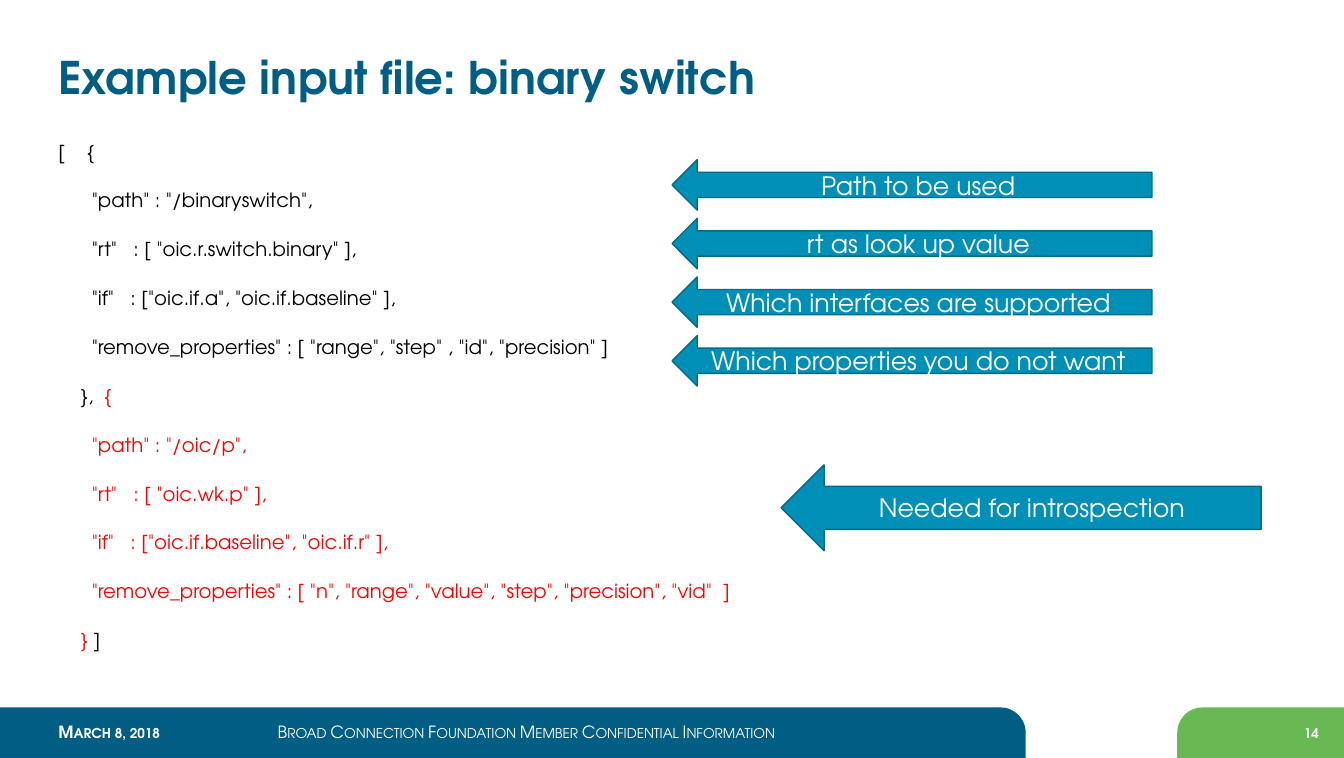
from pptx import Presentation
from pptx.dml.color import RGBColor
from pptx.enum.shapes import MSO_SHAPE
from pptx.enum.text import MSO_ANCHOR, PP_ALIGN
from pptx.oxml.ns import qn
from pptx.util import Inches, Pt

ARROW, TAB = MSO_SHAPE.LEFT_ARROW, MSO_SHAPE.ROUND_1_RECTANGLE
TOP, MID = MSO_ANCHOR.TOP, MSO_ANCHOR.MIDDLE
LEFT, MIDDLE, RIGHT = PP_ALIGN.LEFT, PP_ALIGN.CENTER, PP_ALIGN.RIGHT

FACE = "TeX Gyre Adventor"
COLORS = {"navy": "005D83", "green": "68B953", "blue": "0090B7",
          "edge": "006B87", "white": "FFFFFF", "black": "000000",
          "red": "FF0000"}

TITLE = "Example input file: binary switch"
# Each line: indent level, then (text, colour) runs
CODE = [
    (0, [("[    {", "black")]),
    (2, [('"path" : "/binaryswitch",', "black")]),
    (2, [('"rt"   : [ "oic.r.switch.binary" ],', "black")]),
    (2, [('"if"   : ["oic.if.a", "oic.if.baseline" ],', "black")]),
    (2, [('"remove_properties" : [ "range", "step" , "id", "precision" ]',
          "black")]),
    (1, [("},  ", "black"), ("{", "red")]),
    (2, [('"path" : "/oic/p",', "red")]),
    (2, [('"rt"   : [ "oic.wk.p" ],', "red")]),
    (2, [('"if"   : ["oic.if.baseline", "oic.if.r" ],', "red")]),
    (2, [('"remove_properties" : [ "n", "range", "value", "step", '
          '"precision", "vid"  ]', "red")]),
    (1, [("} ", "red"), ("]", "black")]),
]
INDENTS = [0, 0.22, 0.33]
NOTES = ["Path to be used", "rt as look up value",
         "Which interfaces are supported", "Which properties you do not want"]
NEED = "Needed for introspection"
# Left, width, text, bold, alignment
FOOTER = [
    (0.48, 2.17, "March 8, 2018", True, LEFT),
    (11.98, 1.17, "14", True, RIGHT),
    (2.65, 7.25, "Broad Connection Foundation Member Confidential Information",
     False, LEFT),
]


def color(name):
    return RGBColor.from_string(COLORS[name])


def style(para, size, tint, bold=False, align=LEFT):
    para.alignment = align
    font = para.font
    font.name, font.size, font.bold = FACE, Pt(size), bold
    font.color.rgb = color(tint)


def add_box(slide, box, anchor=MID):
    frame = slide.shapes.add_textbox(*map(Inches, box)).text_frame
    frame.word_wrap = True
    frame.vertical_anchor = anchor
    return frame


def add_form(slide, kind, box, fill, edge=None):
    form = slide.shapes.add_shape(kind, *map(Inches, box))
    form.shadow.inherit = False
    form.fill.solid()
    form.fill.fore_color.rgb = color(fill)
    if edge:
        form.line.color.rgb = color(edge)
        form.line.width = Pt(1)
    else:
        form.line.fill.background()
    return form


def add_arrow(slide, box, text):
    frame = add_form(slide, ARROW, box, "blue", "edge").text_frame
    frame.word_wrap = True
    frame.vertical_anchor = MID
    para = frame.paragraphs[0]
    para.text = text
    style(para, 18, "white", align=MIDDLE)


def add_code(slide):
    frame = add_box(slide, (0.48, 1.33, 6.92, 5.5), TOP)
    for i, (level, runs) in enumerate(CODE):
        para = frame.add_paragraph() if i else frame.paragraphs[0]
        style(para, 14, runs[0][1])
        para.space_before = Pt(18)
        para._p.get_or_add_pPr().set("marL", str(Inches(INDENTS[level])))
        for text, tint in runs:
            run = para.add_run()
            run.text = text
            if tint != runs[0][1]:
                run.font.color.rgb = color(tint)


def add_footer(slide):
    add_form(slide, TAB, (0, 7, 10.15, 0.5), "navy").adjustments[0] = 0.5
    tab = add_form(slide, TAB, (11.65, 7, 1.65, 0.5), "green")
    tab.adjustments[0] = 0.5
    tab._element.spPr.find(qn("a:xfrm")).set("flipH", "1")
    for left, width, text, bold, align in FOOTER:
        para = add_box(slide, (left, 7.08, width, 0.33)).paragraphs[0]
        para.text = text
        style(para, 12, "white", bold, align)
        para._p.pPr.find(qn("a:defRPr")).set("cap", "small")


def main():
    deck = Presentation()
    deck.slide_width, deck.slide_height = Inches(13.3), Inches(7.5)
    slide = deck.slides.add_slide(deck.slide_layouts[6])
    add_footer(slide)
    add_code(slide)
    title = add_box(slide, (0.48, 0.17, 11.33, 1.17)).paragraphs[0]
    title.text = TITLE
    style(title, 32, "navy", bold=True)
    for i, note in enumerate(NOTES):
        add_arrow(slide, (6.65, 1.58 + 0.58 * i, 4.75, 0.5), note)
    add_arrow(slide, (7.73, 4.6, 4.75, 0.85), NEED)
    deck.save("out.pptx")


if __name__ == "__main__":
    main()
